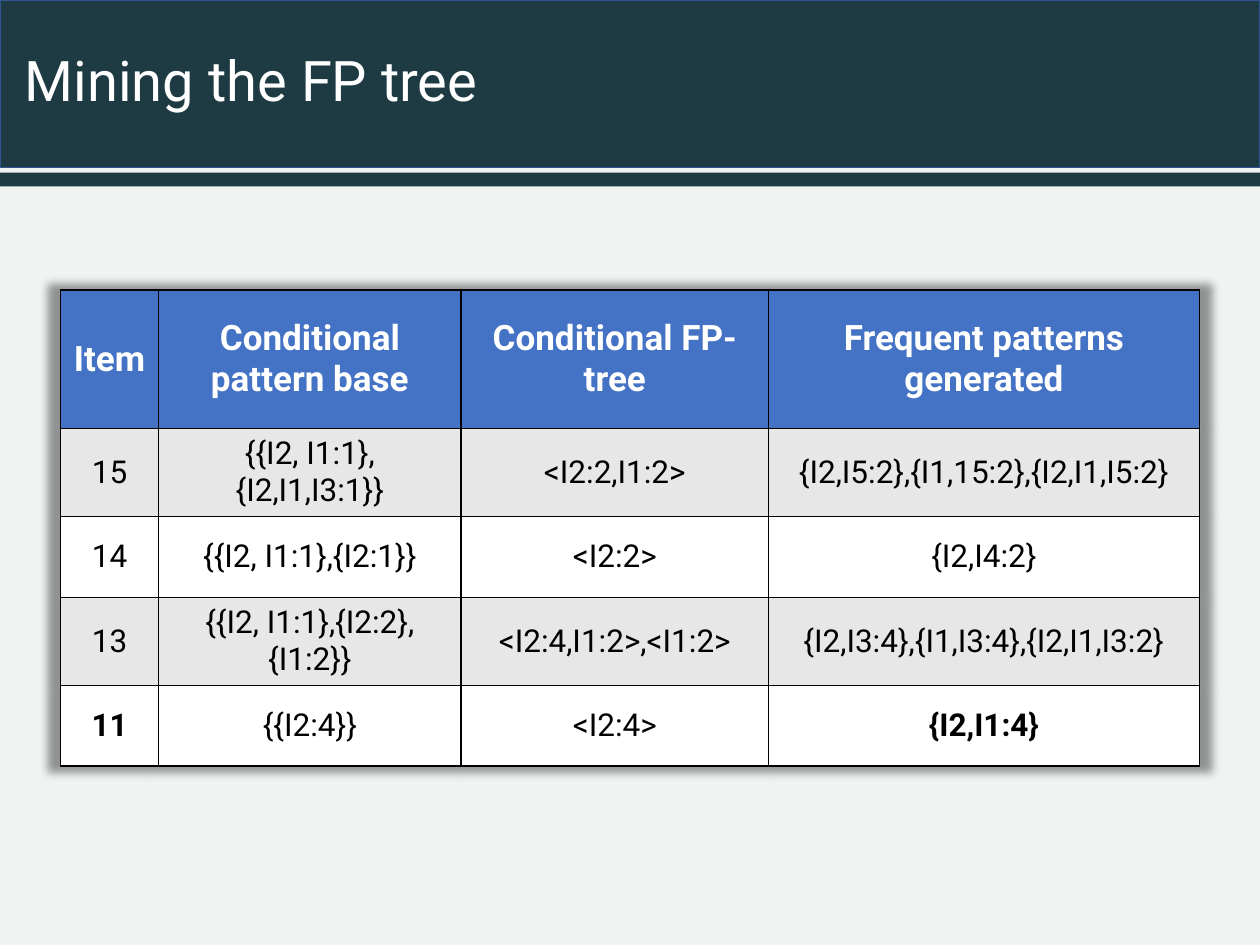
from lxml.etree import SubElement
from pptx import Presentation
from pptx.dml.color import RGBColor
from pptx.enum.shapes import MSO_SHAPE
from pptx.enum.text import MSO_ANCHOR, PP_ALIGN
from pptx.oxml import parse_xml
from pptx.oxml.ns import nsdecls, qn
from pptx.util import Inches, Pt

FONT = "Roboto"
DARK = RGBColor(0x1E, 0x3A, 0x42)
EDGE = RGBColor(0x32, 0x54, 0x91)
BLUE = RGBColor(0x44, 0x72, 0xC4)
BAND = RGBColor(0xE7, 0xE7, 0xE7)
PALE = RGBColor(0xF1, 0xF3, 0xF3)
WHITE = RGBColor(0xFF, 0xFF, 0xFF)
BLACK = RGBColor(0, 0, 0)

WIDTHS = [0.78, 2.4, 2.44, 3.42]
HEAD_H, ROW_H = 1.1, 0.64
ROWS = [
    ["Item", "Conditional pattern base", "Conditional FP-tree",
     "Frequent patterns generated"],
    ["15", "{{I2, I1:1},{I2,I1,I3:1}}", "<I2:2,I1:2>",
     "{I2,I5:2},{I1,15:2},{I2,I1,I5:2}"],
    ["14", "{{I2, I1:1},{I2:1}}", "<I2:2>", "{I2,I4:2}"],
    ["13", "{{I2, I1:1},{I2:2},{I1:2}}", "<I2:4,I1:2>,<I1:2>",
     "{I2,I3:4},{I1,I3:4},{I2,I1,I3:2}"],
    ["11", "{{I2:4}}", "<I2:4>", "{I2,I1:4}"],
]
BOLD = {"11", "{I2,I1:4}"}

SHADOW = (
    f'<a:effectLst {nsdecls("a")}><a:outerShdw blurRad="63500" sx="102000" '
    'sy="102000" algn="ctr" rotWithShape="0"><a:prstClr val="black">'
    '<a:alpha val="40000"/></a:prstClr></a:outerShdw></a:effectLst>'
)


def style(para, size, color, bold=False):
    para.font.name = FONT
    para.font.size = Pt(size)
    para.font.color.rgb = color
    para.font.bold = bold


def add_bar(slide, x, y, w, h):
    bar = slide.shapes.add_shape(MSO_SHAPE.RECTANGLE, Inches(x), Inches(y),
                                 Inches(w), Inches(h))
    bar.shadow.inherit = False
    bar.fill.solid()
    bar.fill.fore_color.rgb = DARK
    bar.line.fill.background()
    return bar


def add_header(slide, x, y, w, h, title):
    # Main band with a thin stripe below
    band = add_bar(slide, x, y, w, h)
    band.line.color.rgb = EDGE
    band.line.width = Pt(1)
    add_bar(slide, x, y + h + 0.04, w, 0.11)

    # Title
    box = slide.shapes.add_textbox(Inches(x + 0.1), Inches(y),
                                   Inches(w - 0.1), Inches(h))
    frame = box.text_frame
    frame.word_wrap = True
    frame.vertical_anchor = MSO_ANCHOR.MIDDLE
    para = frame.paragraphs[0]
    para.text = title
    para.line_spacing = 0.9
    style(para, 32, WHITE)


def add_borders(cell):
    props = cell._tc.get_or_add_tcPr()
    for side in ("lnL", "lnR", "lnT", "lnB"):
        line = SubElement(props, qn(f"a:{side}"), w=str(Pt(1)))
        fill = SubElement(line, qn("a:solidFill"))
        SubElement(fill, qn("a:srgbClr"), val=str(BLACK))


def fill_cell(cell, text, row):
    head = row == 0
    add_borders(cell)
    cell.fill.solid()
    cell.fill.fore_color.rgb = BLUE if head else BAND if row % 2 else WHITE
    cell.vertical_anchor = MSO_ANCHOR.MIDDLE
    para = cell.text_frame.paragraphs[0]
    para.text = text
    para.alignment = PP_ALIGN.CENTER
    style(para, 20 if head else 18, WHITE if head else BLACK,
          head or text in BOLD)


def add_grid(slide, x, y):
    heights = [HEAD_H] + [ROW_H] * (len(ROWS) - 1)
    table = slide.shapes.add_table(
        len(ROWS), len(WIDTHS), Inches(x), Inches(y),
        Inches(sum(WIDTHS)), Inches(sum(heights))).table
    table._tbl.tblPr.insert(0, parse_xml(SHADOW))
    for col, width in zip(table.columns, WIDTHS):
        col.width = Inches(width)
    for r, texts in enumerate(ROWS):
        table.rows[r].height = Inches(heights[r])
        for c, text in enumerate(texts):
            fill_cell(table.cell(r, c), text, r)


def main():
    deck = Presentation()
    deck.slide_width, deck.slide_height = Inches(10), Inches(7.5)
    slide = deck.slides.add_slide(deck.slide_layouts[6])
    slide.background.fill.solid()
    slide.background.fill.fore_color.rgb = PALE
    add_header(slide, 0, 0, 10, 1.33, "Mining the FP tree")
    add_grid(slide, 0.48, 2.3)
    deck.save("out.pptx")


if __name__ == "__main__":
    main()
